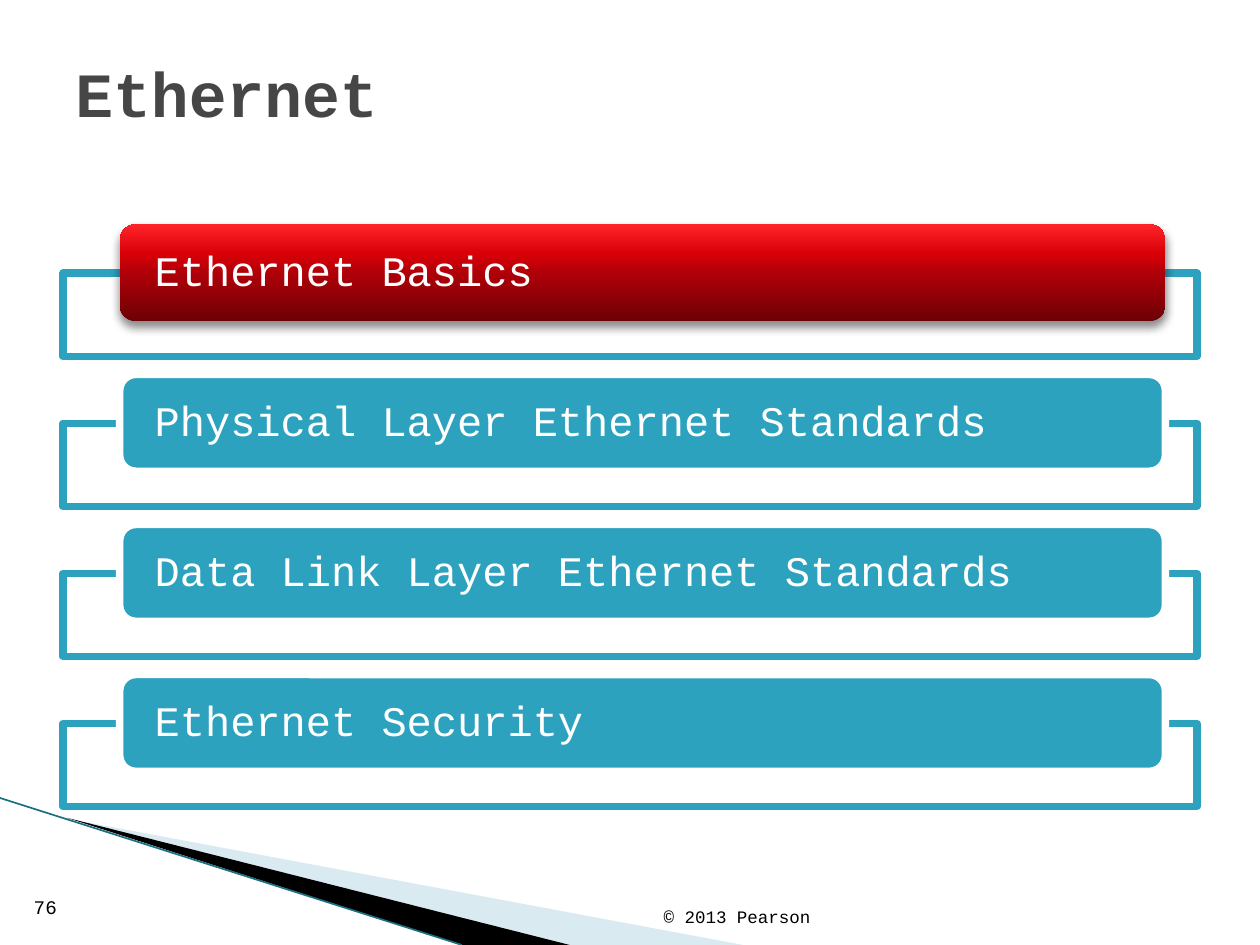
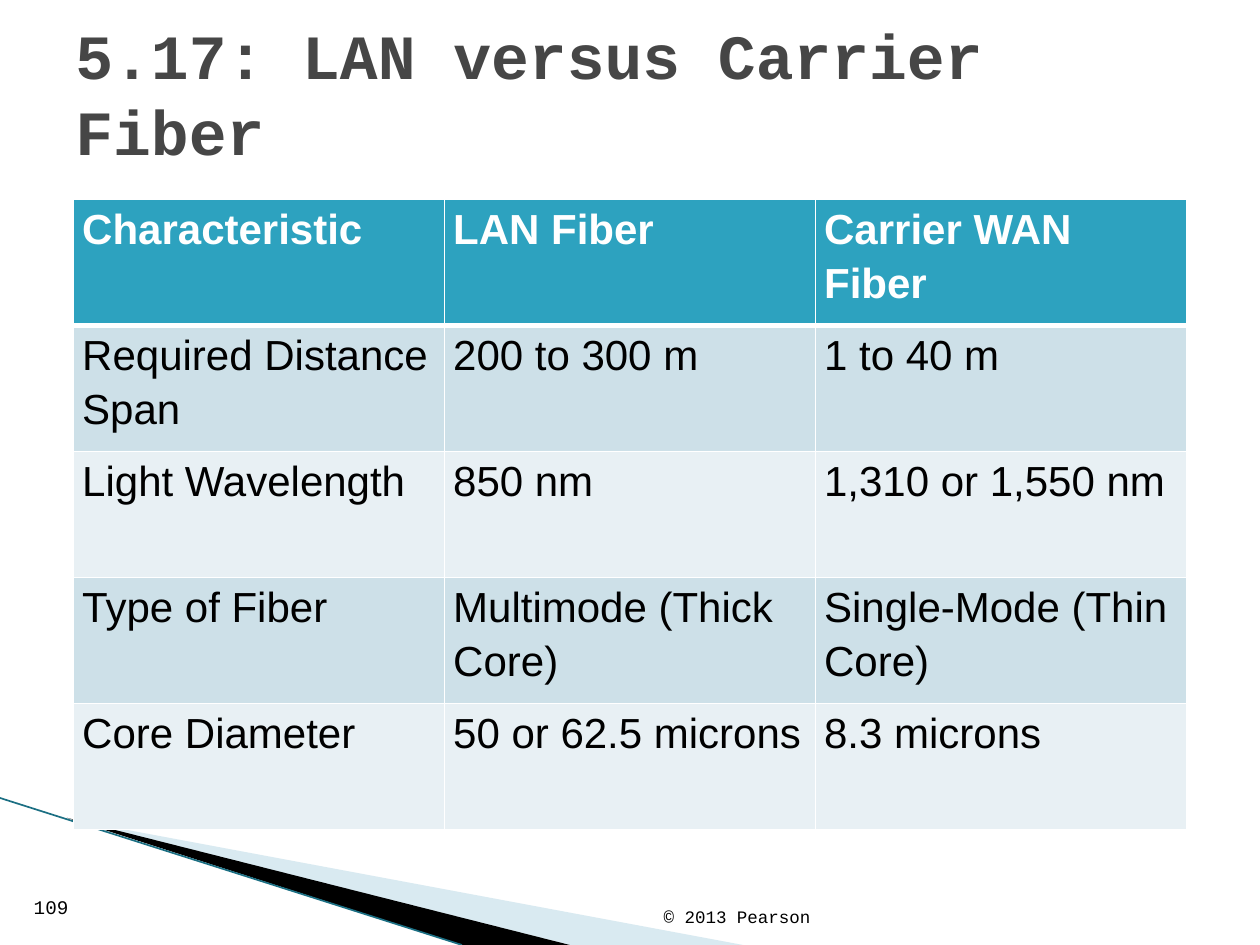
from lxml import etree
from pptx import Presentation
from pptx.dml.color import RGBColor
from pptx.enum.shapes import MSO_CONNECTOR, MSO_SHAPE
from pptx.enum.text import MSO_ANCHOR as Anchor
from pptx.oxml.ns import qn
from pptx.util import Pt

TOPICS = [
    "Ethernet Basics",
    "Physical Layer Ethernet Standards",
    "Data Link Layer Ethernet Standards",
    "Ethernet Security",
]
CURRENT_TOPIC = 0

FIBER_ROWS = [
    ("Characteristic", "LAN Fiber", "Carrier WAN Fiber"),
    ("Required Distance Span", "200 to 300 m", "1 to 40 m"),
    ("Light Wavelength", "850 nm", "1,310 or 1,550 nm"),
    ("Type of Fiber", "Multimode (Thick Core)", "Single-Mode (Thin Core)"),
    ("Core Diameter", "50 or 62.5 microns", "8.3 microns"),
]
COPYRIGHT = "© 2013 Pearson"

WHITE = RGBColor(0xFF, 0xFF, 0xFF)
BLACK = RGBColor(0, 0, 0)
TITLE_GREY = RGBColor(0x46, 0x46, 0x46)
TEAL = RGBColor(0x2D, 0xA2, 0xBF)
DARK_TEAL = RGBColor(0x1B, 0x6F, 0x83)
PALE_TEAL = RGBColor(0xA0, 0xCB, 0xDC)
ROW_DARK = RGBColor(0xCD, 0xE0, 0xE8)
ROW_LIGHT = RGBColor(0xE8, 0xF0, 0xF4)
REDS = [
    (0, RGBColor(0x6D, 0x00, 0x05)),
    (50, RGBColor(0xB0, 0x00, 0x08)),
    (70, RGBColor(0xDA, 0x00, 0x08)),
    (100, RGBColor(0xFF, 0x24, 0x29)),
]
MONO, SANS = "Courier New", "Arial"

# Corner wedge, in points
PALE_WEDGE = [(39, 468), (424.6, 540), (325.7, 540)]
BLACK_WEDGE = [(38.2, 467.3), (325.7, 540), (264, 540)]
WEDGE_EDGE = [(0, 456), (264, 540)]

FRAME_X, FRAME_Y, FRAME_W, FRAME_H = 36, 156.2, 648, 47.5
BAR_X, BAR_Y, BAR_W, BAR_H = 68.4, 128.2, 597.6, 55.4
TOPIC_PITCH = 85.75
TABLE_X, TABLE_Y, COL_W, ROW_H = 42, 114, 212, 72


def box(*lengths):
    return [Pt(v) for v in lengths]


def sub(parent, tag, **attrs):
    return etree.SubElement(parent, qn(tag), {k: str(v) for k, v in attrs.items()})


def add_color(parent, color, alpha=None):
    clr = sub(parent, "a:srgbClr", val=color)
    if alpha is not None:
        sub(clr, "a:alpha", val=alpha * 1000)


def paint(s, fill, alpha=None, line=None, width=0):
    s.shadow.inherit = False
    s.fill.solid()
    s.fill.fore_color.rgb = fill
    if alpha is not None:
        clr = s._element.spPr.find(qn("a:solidFill"))[0]
        sub(clr, "a:alpha", val=alpha * 1000)
    if line is None:
        s.line.fill.background()
    else:
        s.line.color.rgb = line
        s.line.width = Pt(width)


def paint_glossy_red(s):
    paint(s, REDS[0][1])
    s.fill.gradient()
    s.fill.gradient_angle = 90
    spPr = s._element.spPr
    stops = spPr.find(qn("a:gradFill")).find(qn("a:gsLst"))
    for gs in list(stops):
        stops.remove(gs)
    for pos, color in REDS:
        add_color(sub(stops, "a:gs", pos=pos * 1000), color)
    shadow = sub(spPr.find(qn("a:effectLst")), "a:outerShdw", blurRad=Pt(5),
                 dist=Pt(3), dir=90 * 60000, rotWithShape=0)
    add_color(shadow, BLACK, 45)


def write(tf, text, size, color, font=MONO, bold=False, spacing=None):
    tf.word_wrap = True
    p = tf.paragraphs[0]
    if spacing:
        p.line_spacing = spacing
    r = p.add_run()
    r.text = text
    f = r.font
    f.name, f.size, f.bold = font, Pt(size), bold
    f.color.rgb = color
    return p


def add_text(slide, rect, text, size, color, anchor=Anchor.BOTTOM, bold=False):
    tf = slide.shapes.add_textbox(*box(*rect)).text_frame
    tf.vertical_anchor = anchor
    write(tf, text, size, color, bold=bold)


def add_wedge(slide, points, color, alpha=None):
    builder = slide.shapes.build_freeform(*box(*points[0]))
    builder.add_line_segments([box(*pt) for pt in points[1:]], close=True)
    paint(builder.convert_to_shape(), color, alpha)


def new_slide(prs, title, number):
    """Blank slide with the corner wedge, title and footer."""
    slide = prs.slides.add_slide(prs.slide_layouts[6])
    add_wedge(slide, PALE_WEDGE, PALE_TEAL, 40)
    add_wedge(slide, BLACK_WEDGE, BLACK)
    start, end = WEDGE_EDGE
    edge = slide.shapes.add_connector(MSO_CONNECTOR.STRAIGHT, *box(*start, *end))
    edge.line.color.rgb = DARK_TEAL
    edge.line.width = Pt(0.95)
    sub(edge._element.spPr, "a:effectLst")
    add_text(slide, (36, 21.6, 648, 62.6), title, 36, TITLE_GREY, Anchor.MIDDLE, True)
    add_text(slide, (12.2, 505.4, 96, 23), number, 11, BLACK)
    add_text(slide, (372.2, 504.7, 151, 28.8), COPYRIGHT, 10, BLACK)
    return slide


def add_topics(slide):
    for i, topic in enumerate(TOPICS):
        dy = i * TOPIC_PITCH
        frame = slide.shapes.add_shape(
            MSO_SHAPE.RECTANGLE, *box(FRAME_X, FRAME_Y + dy, FRAME_W, FRAME_H))
        paint(frame, WHITE, 90, TEAL, 4.33)
        bar = slide.shapes.add_shape(
            MSO_SHAPE.ROUNDED_RECTANGLE, *box(BAR_X, BAR_Y + dy, BAR_W, BAR_H))
        if i == CURRENT_TOPIC:
            paint_glossy_red(bar)
        else:
            paint(bar, TEAL, line=WHITE, width=4.33)
        tf = bar.text_frame
        tf.vertical_anchor = Anchor.MIDDLE
        tf.margin_left = tf.margin_right = Pt(17.3)
        tf.margin_top = tf.margin_bottom = 0
        p = write(tf, topic, 24, WHITE, spacing=0.9)
        p.alignment = 1


def set_borders(cell, bottom, top):
    tcPr = cell._tc.get_or_add_tcPr()
    widths = {"a:lnL": 1, "a:lnR": 1, "a:lnT": top, "a:lnB": bottom}
    for i, (tag, width) in enumerate(widths.items()):
        ln = etree.Element(qn(tag), {"w": str(Pt(width))})
        add_color(sub(ln, "a:solidFill"), WHITE)
        tcPr.insert(i, ln)


def add_fiber_table(slide):
    rows, cols = len(FIBER_ROWS), len(FIBER_ROWS[0])
    table = slide.shapes.add_table(
        rows, cols, *box(TABLE_X, TABLE_Y, cols * COL_W, rows * ROW_H)).table
    for i, texts in enumerate(FIBER_ROWS):
        header = i == 0
        fill = TEAL if header else ROW_DARK if i % 2 else ROW_LIGHT
        for j, text in enumerate(texts):
            cell = table.cell(i, j)
            cell.margin_left = cell.margin_right = Pt(5)
            cell.margin_top = cell.margin_bottom = 0
            cell.fill.solid()
            cell.fill.fore_color.rgb = fill
            set_borders(cell, bottom=3 if header else 1, top=3 if i == 1 else 1)
            p = write(cell.text_frame, text, 24, WHITE if header else BLACK,
                      SANS, header, 1.15)
            p.space_after = Pt(3)


def main():
    prs = Presentation()
    prs.slide_width, prs.slide_height = box(720, 540)
    add_topics(new_slide(prs, "Ethernet", "76"))
    add_fiber_table(new_slide(prs, "5.17: LAN versus Carrier Fiber", "109"))
    prs.save("out.pptx")


if __name__ == "__main__":
    main()
